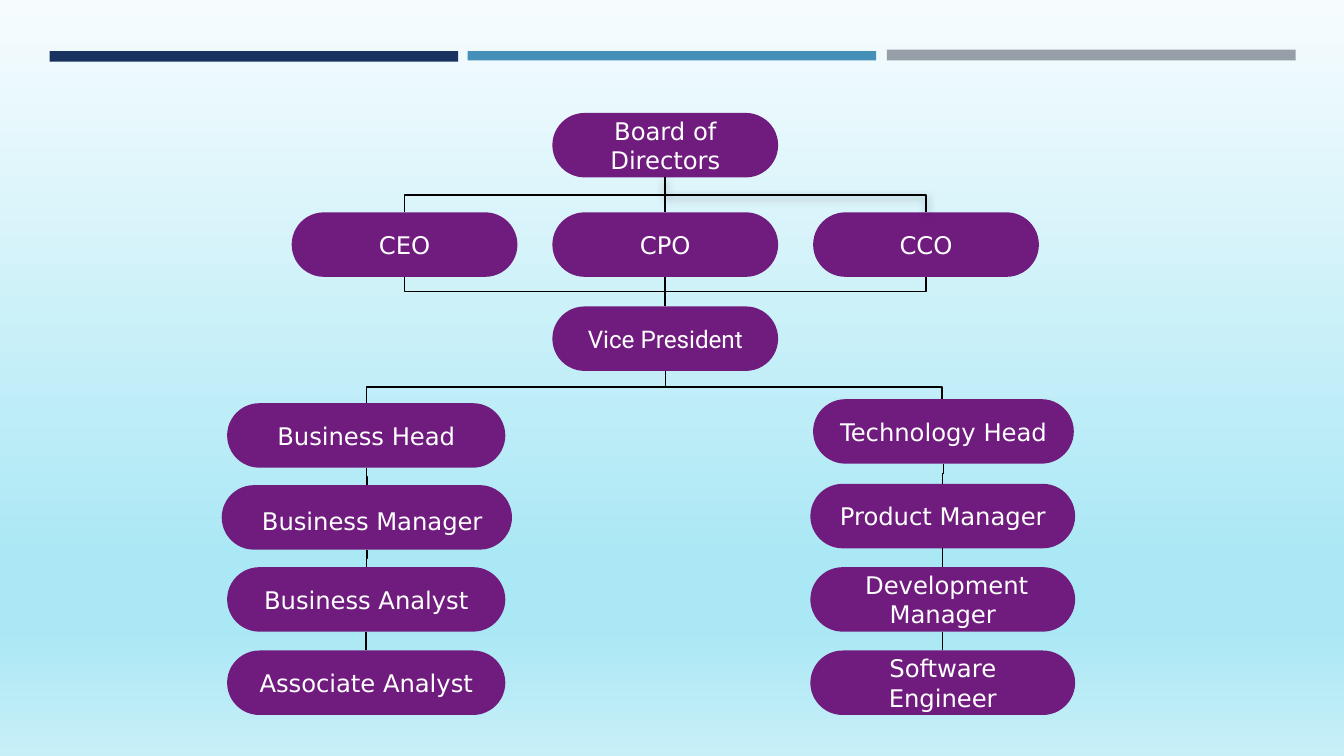
"""Build a one-slide organisation chart with rounded boxes and connectors."""
from lxml.etree import SubElement
from pptx import Presentation
from pptx.dml.color import RGBColor
from pptx.enum.shapes import MSO_CONNECTOR as CONNECTOR, MSO_SHAPE as SHAPE
from pptx.enum.text import MSO_ANCHOR as ANCHOR, PP_ALIGN as ALIGN
from pptx.oxml.ns import qn
from pptx.util import Inches, Pt

COLORS = {
    "navy": "1A3260", "blue": "4590B8", "gray": "969FA7",
    "purple": "701C7F", "white": "FFFFFF", "black": "000000",
}
BACKGROUND = [(0, "F6FCFE"), (74, "ABE8F5"), (83, "ABE8F5"), (100, "C7EFF8")]
BOX_HEIGHT = 0.48


def add_filled(kind, left, top, width, height, color):
    shape = slide.shapes.add_shape(
        kind, Inches(left), Inches(top), Inches(width), Inches(height))
    shape.shadow.inherit = False
    shape.fill.solid()
    shape.fill.fore_color.rgb = RGBColor.from_string(COLORS[color])
    shape.line.fill.background()
    return shape


def add_elbow(start=(0, 0), end=(0, 0)):
    line = slide.shapes.add_connector(
        CONNECTOR.ELBOW, *[Inches(value) for value in (*start, *end)])
    line.line.color.rgb = RGBColor.from_string(COLORS["black"])
    line.line.width = Pt(0.75)
    effects = SubElement(line._element.spPr, qn("a:effectLst"))
    return line, effects


presentation = Presentation()
presentation.slide_width = Inches(10)
presentation.slide_height = Inches(10 * 9 / 16)
slide = presentation.slides.add_slide(presentation.slide_layouts[6])

fill = slide.background.fill
fill.gradient()
fill.gradient_angle = 270
stops = slide._element.find(".//" + qn("a:gsLst"))
for stop in list(stops):
    stops.remove(stop)
for percent, color in BACKGROUND:
    stop = SubElement(stops, qn("a:gs"), pos=str(percent * 1000))
    SubElement(stop, qn("a:srgbClr"), val=color)

for left, top, height, color in [
    (0.37, 0.38, 0.08, "navy"),
    (6.6, 0.37, 0.08, "gray"),
    (3.48, 0.38, 0.07, "blue"),
]:
    add_filled(SHAPE.RECTANGLE, left, top, 3.04, height, color)

boxes = {}
for name, left, top, width in [
    ("Board of Directors", 4.11, 0.84, 1.68),
    ("CEO", 2.17, 1.58, 1.68),
    ("CPO", 4.11, 1.58, 1.68),
    ("CCO", 6.05, 1.58, 1.68),
    ("Vice President", 4.11, 2.28, 1.68),
    ("Business Head", 1.69, 3, 2.07),
    ("Business Manager", 1.65, 3.61, 2.16),
    ("Business Analyst", 1.69, 4.22, 2.07),
    ("Associate Analyst", 1.69, 4.84, 2.07),
    ("Technology Head", 6.05, 2.97, 1.94),
    ("Product Manager", 6.03, 3.6, 1.97),
    ("Development Manager", 6.03, 4.22, 1.97),
    ("Software Engineer", 6.03, 4.84, 1.97),
]:
    box = add_filled(SHAPE.ROUNDED_RECTANGLE, left, top, width, BOX_HEIGHT, "purple")
    box.adjustments[0] = 0.5
    frame = box.text_frame
    frame.word_wrap = True
    frame.vertical_anchor = ANCHOR.MIDDLE
    frame.margin_left = frame.margin_right = Inches(0.1)
    frame.margin_top = frame.margin_bottom = Inches(0.1)
    paragraph = frame.paragraphs[0]
    paragraph.alignment = ALIGN.CENTER
    runs = [(name, 13)]
    if name == "Business Manager":
        runs = [(" ", 18), (name, 13)]
    elif name == "Development Manager":
        runs = [(" " + name, 13)]
    for text, size in runs:
        run = paragraph.add_run()
        run.text = text
        run.font.size = Pt(size)
        run.font.name = "Roboto" if name == "Vice President" else "DejaVu Sans"
        run.font.color.rgb = RGBColor.from_string(COLORS["white"])
    boxes[name] = box

for upper, lower in [
    ("Board of Directors", "CEO"),
    ("Board of Directors", "CPO"),
    ("Board of Directors", "CCO"),
    ("CEO", "Vice President"),
    ("CPO", "Vice President"),
    ("CCO", "Vice President"),
    ("Vice President", "Business Head"),
    ("Business Head", "Business Manager"),
    ("Business Manager", "Business Analyst"),
    ("Business Analyst", "Associate Analyst"),
    ("Technology Head", "Product Manager"),
    ("Product Manager", "Development Manager"),
    ("Development Manager", "Software Engineer"),
]:
    line, effects = add_elbow()
    line.begin_connect(boxes[upper], 2)
    line.end_connect(boxes[lower], 0)
    across, down = line.end_x - line.begin_x, line.end_y - line.begin_y
    center_x = (line.begin_x + line.end_x) // 2
    center_y = (line.begin_y + line.end_y) // 2
    line.width, line.height = down, abs(across)
    line.left, line.top = center_x - down // 2, center_y - abs(across) // 2
    transform = line._element.spPr.find(qn("a:xfrm"))
    transform.set("rot", str((90 if across < 0 else 270) * 60000))
    transform.set("flipH", "0" if across < 0 else "1")
    if lower == "CCO":
        shadow = SubElement(effects, qn("a:outerShdw"), blurRad=str(Pt(4.5)),
                            dist=str(Pt(1.5)), dir="5400000")
        shadow_color = SubElement(shadow, qn("a:srgbClr"), val=COLORS["black"])
        SubElement(shadow_color, qn("a:alpha"), val="50000")

technology_line, effects = add_elbow((4.77, 2.88), (7.01, 2.97))
technology_line._element.spPr.find(qn("a:prstGeom")).set("prst", "bentConnector2")

presentation.save("out.pptx")
